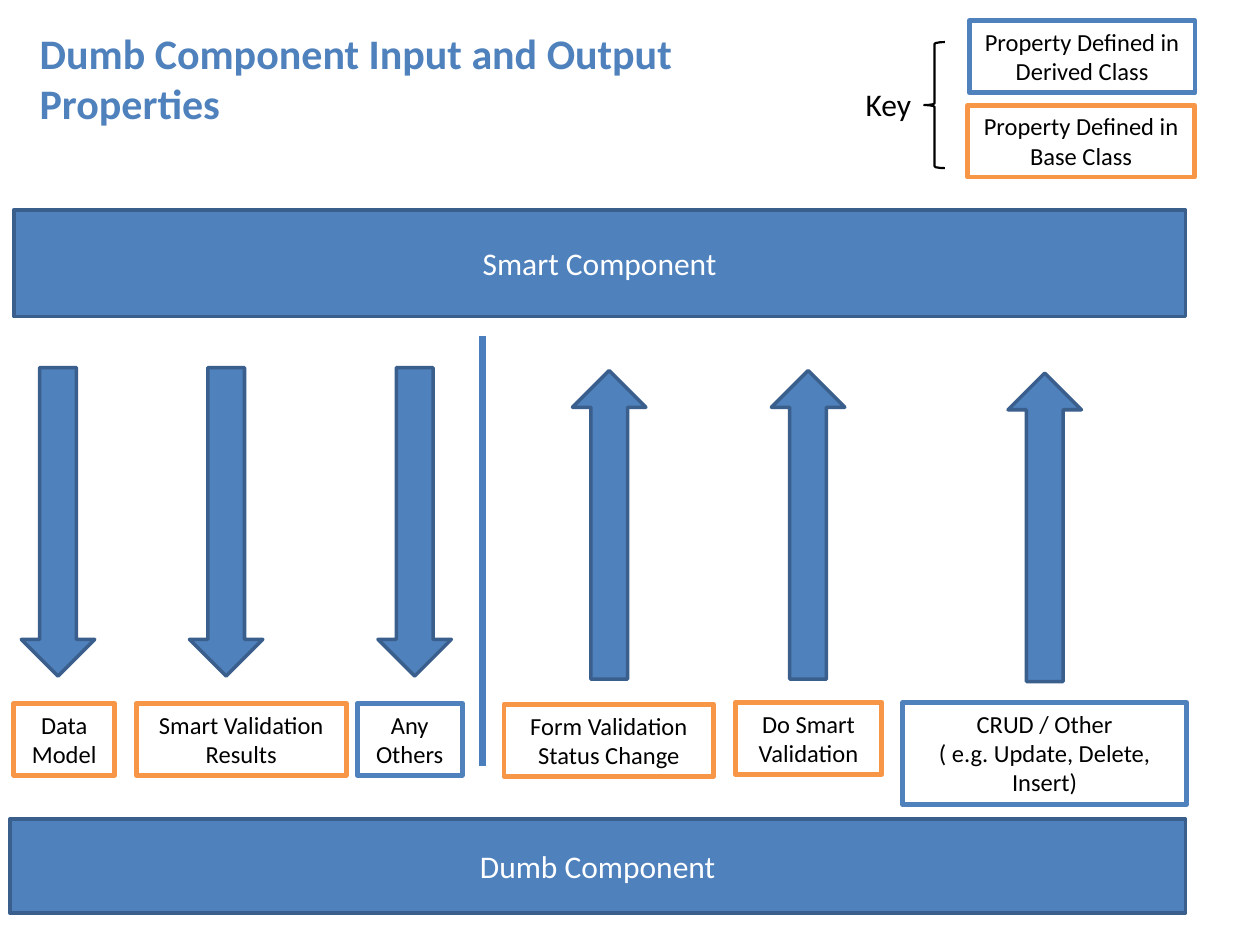
from pptx import Presentation
from pptx import util as u
from pptx.dml import color
from pptx.enum import shapes, text
from pptx.oxml import ns
from lxml import etree

BLUE, DARK, MID, ORANGE = "4F81BD", "3A5F8C", "4B7EBC", "F79646"
BLACK, WHITE = "000000", "FFFFFF"
FORM = shapes.MSO_SHAPE
ANCHOR = text.MSO_ANCHOR

deck = Presentation()
deck.slide_width, deck.slide_height = u.Cm(25.4), u.Cm(19.05)
slide = deck.slides.add_slide(deck.slide_layouts[6])


def rgb(value):
    return color.RGBColor.from_string(value)


def put(at, words="", form=None, fill=None, line=None, width=2, size=14,
        ink=BLACK, bold=False, align=text.PP_ALIGN.CENTER, anchor=ANCHOR.TOP,
        wrap=True, grow=False):
    """Add a shape, or a text box when no form is given; at is in cm."""
    place = [u.Cm(length) for length in at]
    if form is None:
        item = slide.shapes.add_textbox(*place)
    else:
        item = slide.shapes.add_shape(form, *place)
        item.shadow.inherit = False
        if fill:
            item.fill.solid()
            item.fill.fore_color.rgb = rgb(fill)
        else:
            item.fill.background()
        item.line.color.rgb = rgb(line)
        item.line.width = u.Pt(width)
    if words:
        frame = item.text_frame
        frame.word_wrap = wrap
        frame.vertical_anchor = anchor
        if grow:
            frame.auto_size = text.MSO_AUTO_SIZE.SHAPE_TO_FIT_TEXT
        for number, sentence in enumerate(words.split("\n")):
            paragraph = frame.paragraphs[0] if number == 0 else frame.add_paragraph()
            paragraph.alignment = align
            run = paragraph.add_run()
            run.text = sentence
            run.font.name = "Calibri"
            run.font.size = u.Pt(size)
            run.font.bold = bold
            run.font.color.rgb = rgb(ink)
    return item


# Component bars
for name, at in (("Dumb Component", (0.2, 16.51, 23.7, 1.9)),
                 ("Smart Component", (0.28, 4.23, 23.62, 2.15))):
    put(at, name, FORM.RECTANGLE, BLUE, DARK, size=18, ink=WHITE,
        anchor=ANCHOR.MIDDLE)

# Divider between inputs and outputs
divider = slide.shapes.add_connector(
    shapes.MSO_CONNECTOR.STRAIGHT, u.Cm(9.73), u.Cm(6.78), u.Cm(9.73), u.Cm(15.44))
divider.line.color.rgb = rgb(MID)
divider.line.width = u.Pt(4.25)
etree.SubElement(divider._element.spPr, ns.qn("a:effectLst"))

# Properties: label, colour, label box, arrow left, arrow top, arrow rotation
properties = [
    ("Data Model", ORANGE, (0.28, 14.18, 2.03, 1.45), 0.43, 7.41, 0),
    ("Smart Validation Results", ORANGE, (2.75, 14.18, 4.23, 1.45), 3.82, 7.41, 0),
    ("Any Others", BLUE, (7.2, 14.18, 2.12, 1.45), 7.62, 7.41, 0),
    ("Form Validation Status Change", ORANGE, (10.16, 14.2, 4.23, 1.45), 11.54, 7.47, 180),
    ("Do Smart Validation", ORANGE, (14.82, 14.16, 2.96, 1.45), 15.55, 7.47, 180),
    ("CRUD / Other\n( e.g. Update, Delete, Insert)", BLUE,
     (18.2, 14.16, 5.72, 2.06), 20.32, 7.52, 180),
]
for label, edge, box, left, top, turn in properties:
    put(box, label, FORM.RECTANGLE, line=edge, width=2.75, grow=True)
    arrow = put((left, top, 1.48, 6.22), form=FORM.DOWN_ARROW, fill=BLUE, line=DARK)
    arrow.rotation = turn

# Key
for label, edge, box in (
        ("Property Defined in Base Class", ORANGE, (19.51, 2.12, 4.57, 1.45)),
        ("Property Defined in Derived Class", BLUE, (19.54, 0.42, 4.55, 1.45))):
    put(box, label, FORM.RECTANGLE, line=edge, width=2.75, grow=True)
put((18.63, 0.85, 0.42, 2.54), form=FORM.LEFT_BRACE, line=BLACK, width=1.25)
put((17.2, 1.58, 1.45, 1.02), "Key", size=18, align=text.PP_ALIGN.LEFT,
    wrap=False, grow=True)

# Title
put((0.55, 0.42, 15.95, 2.31), "Dumb Component Input and Output Properties",
    size=24, ink=BLUE, bold=True, align=text.PP_ALIGN.LEFT, grow=True)

deck.save("out.pptx")
